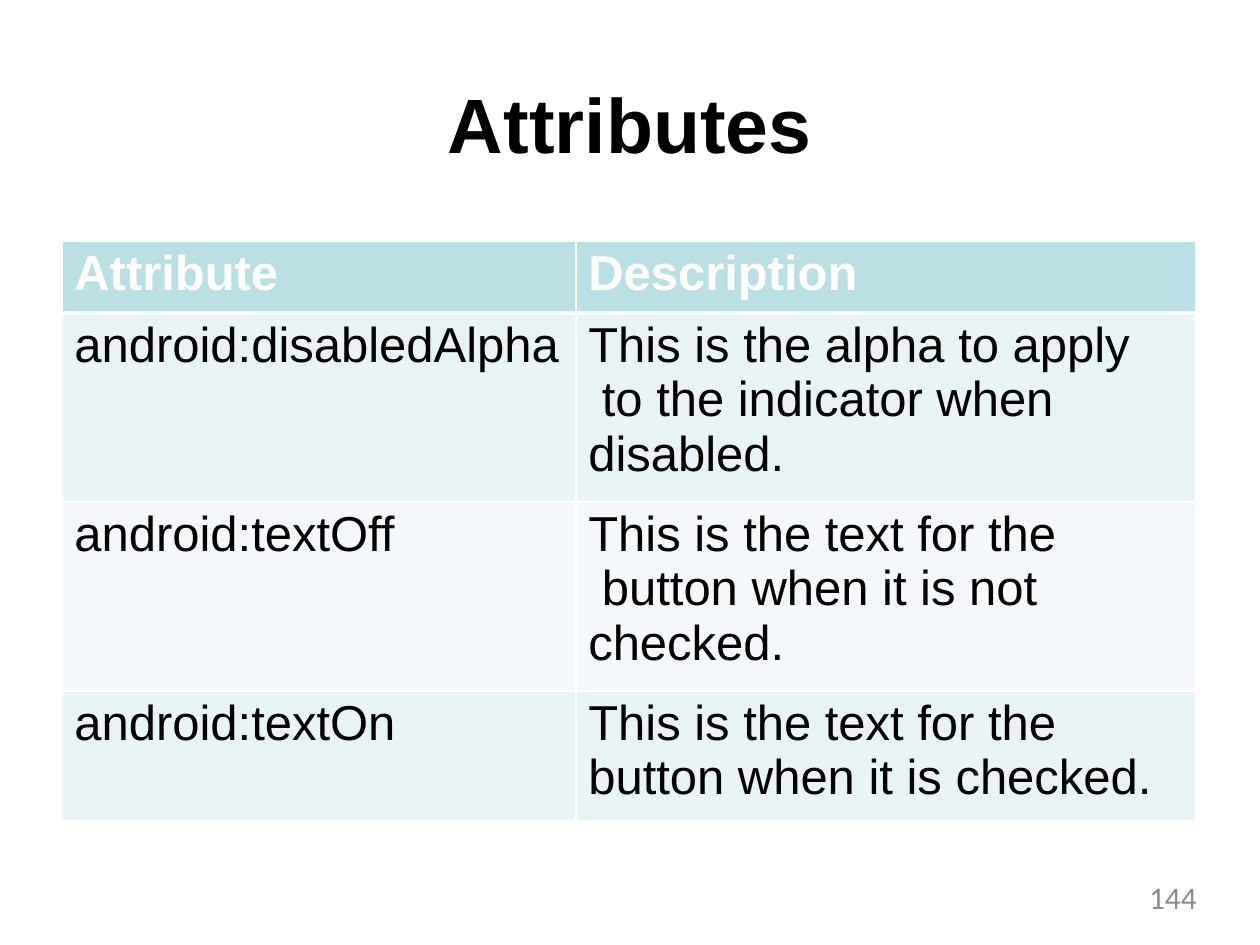
from dataclasses import dataclass

from lxml.etree import SubElement
from pptx import Presentation
from pptx.dml.color import RGBColor
from pptx.enum.text import MSO_ANCHOR, MSO_AUTO_SIZE, PP_ALIGN
from pptx.oxml.ns import qn
from pptx.util import Cm, Pt

TITLE = "Attributes"
PAGE_NUMBER = "144"
ROWS = [
    ("Attribute", "Description"),
    ("android:disabledAlpha", "This is the alpha to apply\n to the indicator when disabled."),
    ("android:textOff", "This is the text for the\n button when it is not checked."),
    ("android:textOn", "This is the text for the button when it is checked."),
]
COLUMN_WIDTHS = (10.36, 12.5)
ROW_HEIGHTS = (1.45, 3.81, 3.81, 2.62)


@dataclass(frozen=True)
class Theme:
    text_font: str = "Arial"
    number_font: str = "Calibri"
    title_size: int = 44
    table_size: int = 28
    number_size: int = 18
    text: str = "000000"
    light: str = "FFFFFF"
    muted: str = "8C8C8C"
    header: str = "BAE0E3"
    bands: tuple = ("E7F3F4", "F3F9FA")
    thin: float = 1.5
    thick: float = 3


theme = Theme()


def set_attributes(target, values):
    for name, value in values.items():
        setattr(target, name, value)


def write(frame, text, align, name, size, color, bold=False):
    para = frame.paragraphs[0]
    para.text = text
    para.alignment = align
    for span in para.runs:
        set_attributes(span.font, {"name": name, "size": Pt(size), "bold": bold})
        span.font.color.rgb = RGBColor.from_string(color)


def place(box, left, top, width, height):
    set_attributes(box, {"left": Cm(left), "top": Cm(top), "width": Cm(width), "height": Cm(height)})


def format_frame(frame, top=0, wrap=True):
    set_attributes(frame, {
        "margin_left": 0, "margin_right": 0, "margin_top": Cm(top), "margin_bottom": 0,
        "word_wrap": wrap, "auto_size": MSO_AUTO_SIZE.NONE, "vertical_anchor": MSO_ANCHOR.TOP,
    })


def add_borders(cell, widths):
    properties = cell._tc.get_or_add_tcPr()
    for side, width in widths.items():
        line = SubElement(properties, qn(f"a:ln{side}"), w=str(Pt(width)))
        fill = SubElement(line, qn("a:solidFill"))
        SubElement(fill, qn("a:srgbClr"), val=theme.light)


def add_attribute_table(page):
    table = page.shapes.add_table(
        len(ROWS), len(COLUMN_WIDTHS), Cm(1.25), Cm(4.86),
        Cm(sum(COLUMN_WIDTHS)), Cm(sum(ROW_HEIGHTS)),
    ).table
    for column, width in zip(table.columns, COLUMN_WIDTHS):
        column.width = Cm(width)
    for index, (row, height, texts) in enumerate(zip(table.rows, ROW_HEIGHTS, ROWS)):
        row.height = Cm(height)
        is_header = index == 0
        fill = theme.header if is_header else theme.bands[(index - 1) % 2]
        borders = {
            "L": theme.thin, "R": theme.thin,
            "T": theme.thick if index == 1 else theme.thin,
            "B": theme.thick if is_header else theme.thin,
        }
        for cell, text in zip(row.cells, texts):
            set_attributes(cell, {
                "margin_left": Cm(0.25), "margin_right": 0,
                "margin_top": Cm(0.1), "margin_bottom": 0,
            })
            add_borders(cell, borders)
            cell.fill.solid()
            cell.fill.fore_color.rgb = RGBColor.from_string(fill)
            write(cell.text_frame, text, PP_ALIGN.LEFT, theme.text_font, theme.table_size,
                  theme.light if is_header else theme.text, is_header)


def main():
    deck = Presentation()
    set_attributes(deck, {"slide_width": Cm(25.4), "slide_height": Cm(19.05)})
    page = deck.slides.add_slide(deck.slide_layouts.get_by_name("Title Only"))

    title = page.shapes.title
    place(title, 9, 1.35, 7.4, 1.93)
    format_frame(title.text_frame, top=0.2, wrap=False)
    write(title.text_frame, TITLE, PP_ALIGN.CENTER, theme.text_font, theme.title_size, theme.text, True)

    add_attribute_table(page)

    number = page.shapes.add_textbox(Cm(18.29), Cm(17.7), Cm(5.84), Cm(0.97))
    format_frame(number.text_frame)
    write(number.text_frame, PAGE_NUMBER, PP_ALIGN.RIGHT, theme.number_font, theme.number_size, theme.muted)

    deck.save("out.pptx")


if __name__ == "__main__":
    main()
